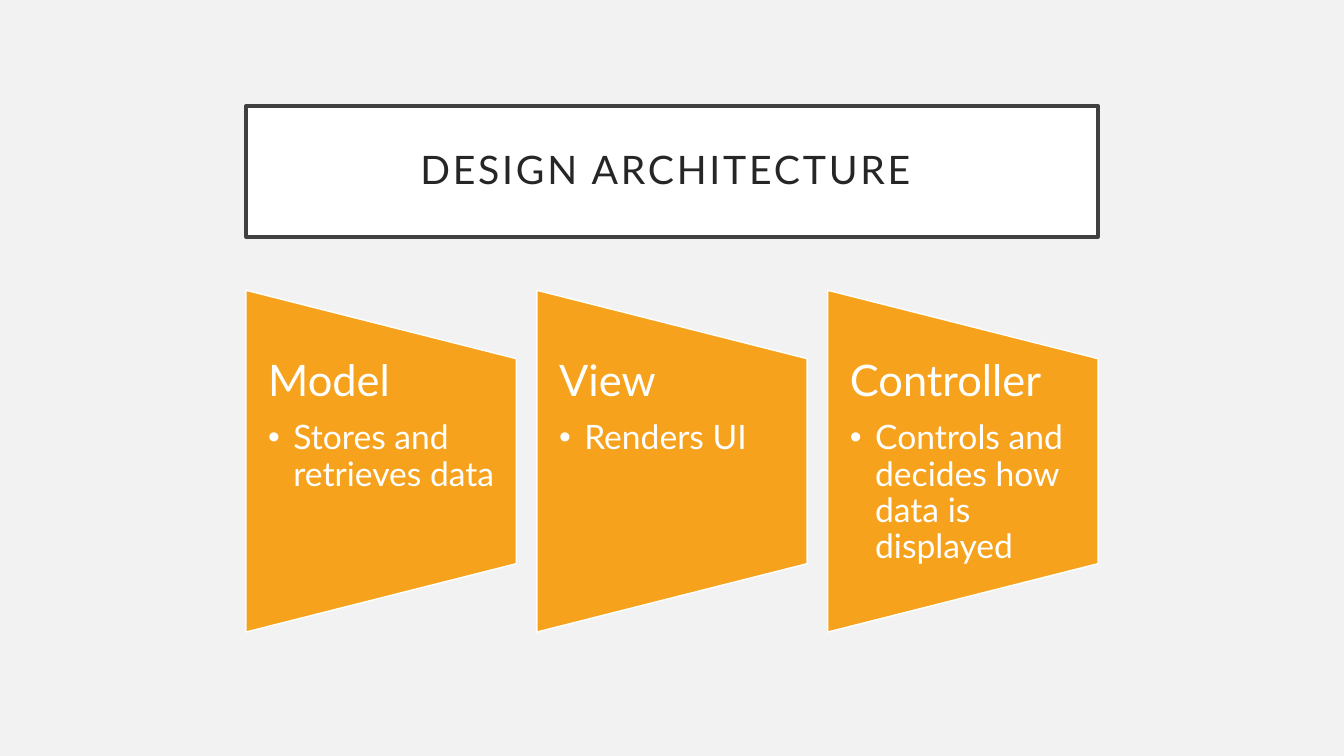
"""Build the design architecture slide."""
import pptx
import pptx.dml.color
import pptx.enum.shapes
import pptx.enum.text
import pptx.oxml
import pptx.oxml.ns
import pptx.util
from pptx.util import Inches

RGBColor = pptx.dml.color.RGBColor
BACKGROUND = RGBColor(0xF2, 0xF2, 0xF2)
WHITE = RGBColor(0xFF, 0xFF, 0xFF)
FRAME = RGBColor(0x40, 0x40, 0x40)
INK = RGBColor(0x26, 0x26, 0x26)
ORANGE = RGBColor(0xF6, 0xA2, 0x1D)
FONT = "Lato"
LAYERS = [
    ("Model", "Stores and retrieves data "),
    ("View", "Renders UI"),
    ("Controller", "Controls and decides how data is displayed"),
]


def add_filled_shape(slide, kind, box, fill, line, line_width):
    """Add a preset shape with a plain fill and outline."""
    shape = slide.shapes.add_shape(kind, *map(Inches, box))
    shape.shadow.inherit = False
    shape.fill.solid()
    shape.fill.fore_color.rgb = fill
    shape.line.color.rgb = line
    shape.line.width = pptx.util.Pt(line_width)
    return shape


def set_insets(text_frame, left, top, right, bottom):
    """Wrap the text and set its insets."""
    text_frame.word_wrap = True
    text_frame.margin_left, text_frame.margin_top = Inches(left), Inches(top)
    text_frame.margin_right, text_frame.margin_bottom = Inches(right), Inches(bottom)


def write_paragraph(paragraph, text, size, color, space_after=0):
    """Fill a paragraph with one formatted run and return the run."""
    paragraph.text = text
    paragraph.line_spacing = 0.9
    paragraph.space_after = pptx.util.Pt(space_after)
    run = paragraph.runs[0]
    run.font.name = FONT
    run.font.size = pptx.util.Pt(size)
    run.font.color.rgb = color
    return run


def add_bullet(paragraph, indent):
    """Give a paragraph a round bullet with a hanging indent."""
    properties = paragraph._p.get_or_add_pPr()
    properties.set("lvl", "1")
    properties.set("marL", str(Inches(indent)))
    properties.set("indent", str(-Inches(indent)))
    namespace = pptx.oxml.ns.nsdecls("a")
    properties.append(pptx.oxml.parse_xml(f'<a:buFont {namespace} typeface="Arial"/>'))
    properties.append(pptx.oxml.parse_xml(f'<a:buChar {namespace} char="•"/>'))


def add_title(slide, box, text):
    """Add the framed title."""
    shape = add_filled_shape(
        slide, pptx.enum.shapes.MSO_SHAPE.RECTANGLE, box, WHITE, FRAME, 2.5)
    text_frame = shape.text_frame
    set_insets(text_frame, 0.2, 0.2, 0.2, 0.2)
    text_frame.vertical_anchor = pptx.enum.text.MSO_ANCHOR.MIDDLE
    paragraph = text_frame.paragraphs[0]
    run = write_paragraph(paragraph, text, 28, INK)
    paragraph.alignment = pptx.enum.text.PP_ALIGN.CENTER
    run.font._element.set("spc", "200")


def add_layer_card(slide, box, heading, detail):
    """Add one sideways trapezoid with its heading and bullet."""
    left, top, width, height = box
    shift = (height - width) / 2
    trapezoid = add_filled_shape(
        slide, pptx.enum.shapes.MSO_SHAPE.FLOWCHART_MANUAL_OPERATION,
        (left - shift, top + shift, height, width), ORANGE, WHITE, 1)
    trapezoid.rotation = 270
    text_box = slide.shapes.add_textbox(
        *map(Inches, (left, top + height / 5, width, height * 3 / 5)))
    text_frame = text_box.text_frame
    set_insets(text_frame, 0.22, 0, 0.21, 0)
    write_paragraph(text_frame.paragraphs[0], heading, 31, WHITE, 11)
    bullet = text_frame.add_paragraph()
    write_paragraph(bullet, detail, 24, WHITE, 4)
    add_bullet(bullet, 0.25)


def add_layer_row(slide, box, layers):
    """Spread the layer cards evenly across the box."""
    left, top, width, height = box
    card_width = 2.68
    pitch = (width - card_width) / (len(layers) - 1)
    for index, (heading, detail) in enumerate(layers):
        card = (left + index * pitch, top, card_width, height)
        add_layer_card(slide, card, heading, detail)


def main():
    """Build and save the presentation."""
    presentation = pptx.Presentation()
    presentation.slide_width = Inches(13.33)
    presentation.slide_height = Inches(7.5)
    slide = presentation.slides.add_slide(presentation.slide_layouts[6])
    slide.background.fill.solid()
    slide.background.fill.fore_color.rgb = BACKGROUND
    add_title(slide, (2.44, 1.05, 8.45, 1.3), "DESIGN ARCHITECTURE ")
    add_layer_row(slide, (2.44, 2.88, 8.45, 3.39), LAYERS)
    presentation.save("out.pptx")


main()
